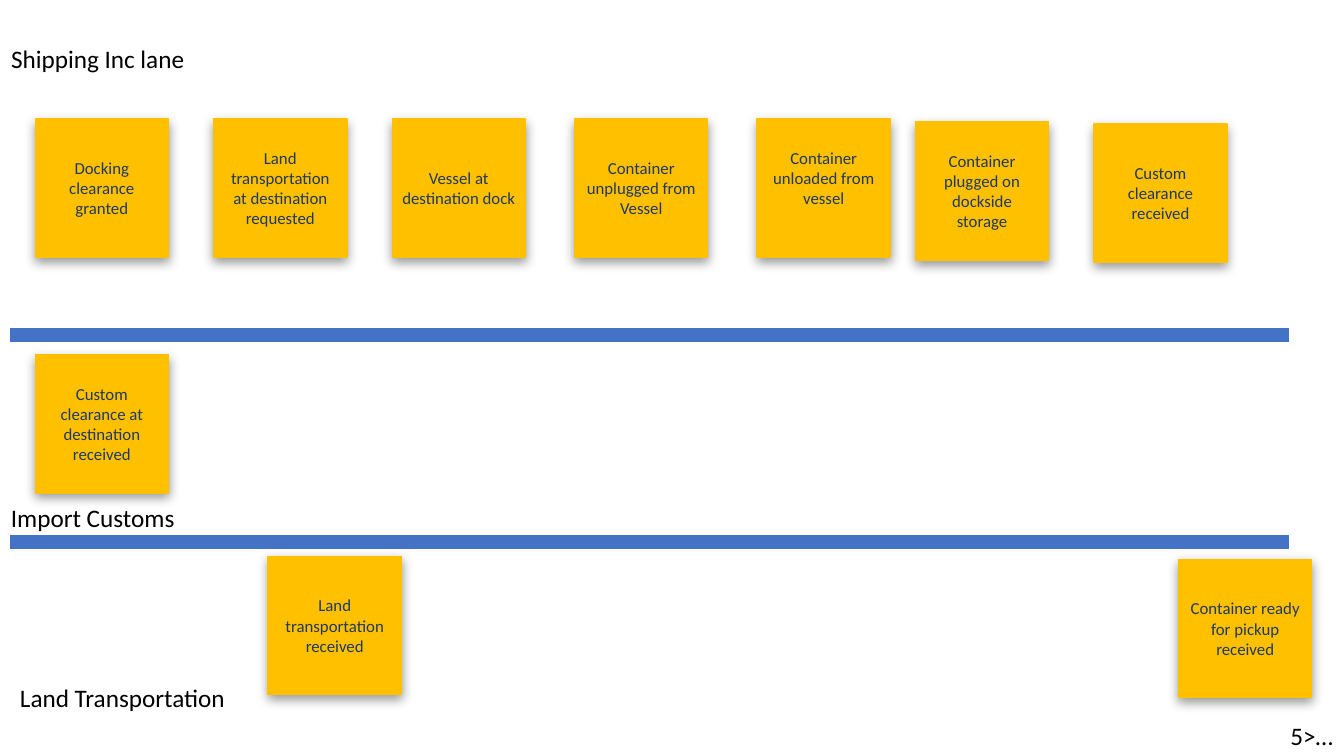
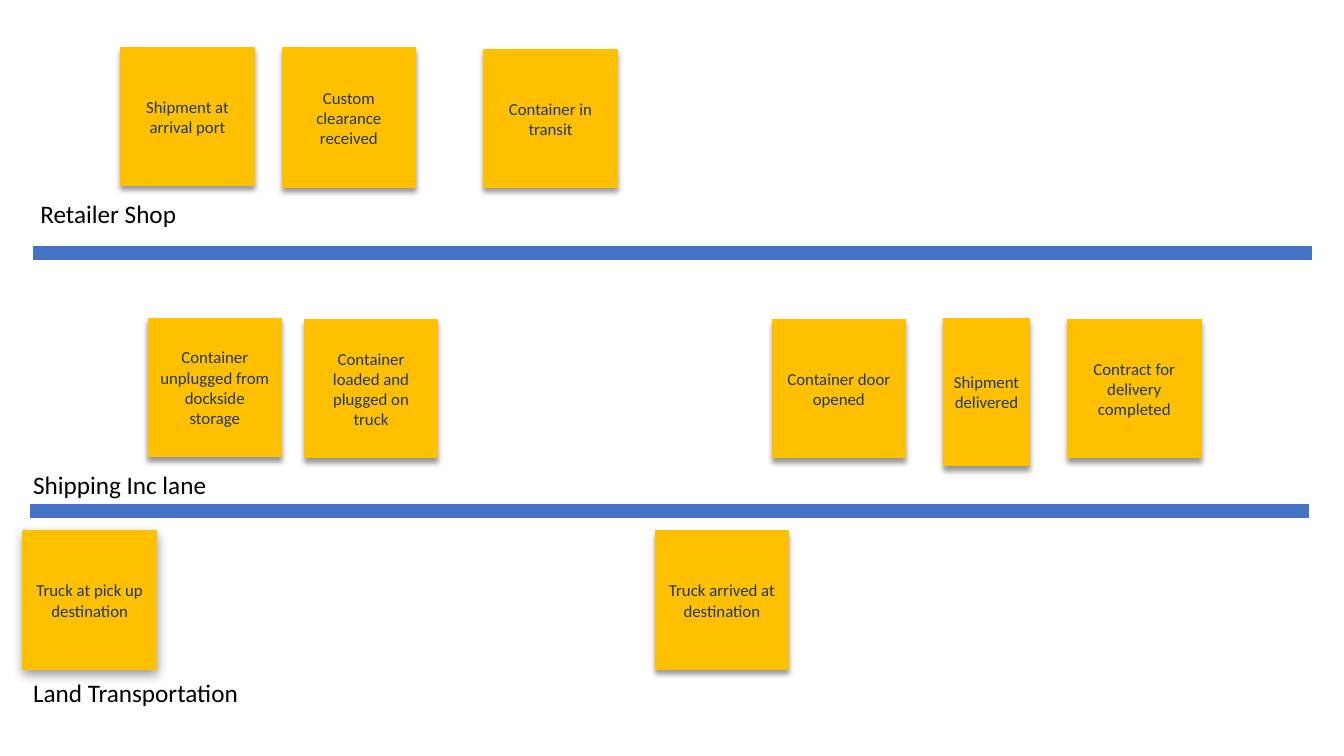
from lxml import etree
from pptx import Presentation
from pptx import util as u
from pptx.dml.color import RGBColor
from pptx.enum import shapes, text
from pptx.oxml.ns import qn

UNIT = 0.1
CARD_W, CARD_H = 13.2, 13.7
LANE_W = 126.8
LABEL_H = 4
BLACK, NAVY, AMBER, BLUE = "000000", "203864", "FFC000", "4472C4"


def rgb(value):
    return RGBColor.from_string(value)


def grid(*cells):
    return [u.Inches(cell * UNIT) for cell in cells]


def assign(target, values):
    for name, value in values.items():
        setattr(target, name, value)


def effects(shape):
    return etree.SubElement(shape._element.spPr, qn("a:effectLst"))


class Board:
    label_frame = {"word_wrap": False, "vertical_anchor": text.MSO_ANCHOR.TOP,
                   "auto_size": text.MSO_AUTO_SIZE.SHAPE_TO_FIT_TEXT}
    card_frame = {"word_wrap": True, "vertical_anchor": text.MSO_ANCHOR.MIDDLE}
    label_font = {"name": "Calibri", "size": u.Pt(18), "bold": False}
    card_font = {"name": "Calibri", "size": u.Pt(12)}

    def __init__(self):
        self.prs = Presentation()
        assign(self.prs, {"slide_width": u.Inches(13.33), "slide_height": u.Inches(7.5)})
        self.s = None

    def slide(self):
        self.s = self.prs.slides.add_slide(self.prs.slide_layouts[5])

    def fill_text(self, sp, words, frame, font, color, align):
        tf = sp.text_frame
        assign(tf, frame)
        p = tf.paragraphs[0]
        p.alignment = align
        r = p.add_run()
        r.text = words
        assign(r.font, font)
        r.font.color.rgb = rgb(color)

    def caption(self, sp, words):
        self.fill_text(sp, words, self.label_frame, self.label_font, BLACK, text.PP_ALIGN.LEFT)

    def title(self, col, row, width, words):
        sp = self.s.shapes.title
        left, top, wide, high = grid(col, row, width, LABEL_H)
        assign(sp, {"left": left, "top": top, "width": wide, "height": high})
        self.caption(sp, words)

    def label(self, col, row, width, words):
        self.caption(self.s.shapes.add_textbox(*grid(col, row, width, LABEL_H)), words)

    def divider(self, col, row):
        line = self.s.shapes.add_connector(
            shapes.MSO_CONNECTOR.STRAIGHT, *grid(col, row, col + LANE_W, row))
        line.line.color.rgb = rgb(BLUE)
        line.line.width = u.Pt(10)
        effects(line)

    def card(self, col, row, words, width=CARD_W, height=CARD_H, blur=8, lift=0.5):
        sp = self.s.shapes.add_shape(
            shapes.MSO_SHAPE.RECTANGLE, *grid(col, row, width, height))
        sp.fill.solid()
        sp.fill.fore_color.rgb = rgb(AMBER)
        sp.line.color.rgb = rgb(AMBER)
        sp.line.width = u.Pt(1)
        self.shadow(sp, blur)
        frame = {**self.card_frame, "margin_bottom": grid(lift)[0]}
        self.fill_text(sp, words, frame, self.card_font, NAVY, text.PP_ALIGN.CENTER)

    def shadow(self, sp, blur):
        outer = etree.SubElement(effects(sp), qn("a:outerShdw"), {
            "blurRad": str(u.Pt(blur)), "dist": str(u.Pt(3)), "dir": "5400000",
            "algn": "t", "rotWithShape": "0"})
        color = etree.SubElement(outer, qn("a:srgbClr"), val=BLACK)
        etree.SubElement(color, qn("a:alpha"), val="40000")

    def cards(self, items, **style):
        for col, row, words in items:
            self.card(col, row, words, **style)


def arrival(board):
    board.slide()
    board.title(0.1, 3.8, 19.4, "Shipping Inc lane")
    board.label(0.1, 49.3, 18.4, "Import Customs")
    board.label(1, 67.2, 22.6, "Land Transportation")
    board.label(127, 71, 6.3, "5>…")
    for row in (33.2, 53.8):
        board.divider(1, row)
    board.cards([
        (3.5, 11.8, "Docking clearance granted"),
        (21.2, 11.8, "Land transportation at destination requested"),
        (38.9, 11.8, "Vessel at destination dock"),
        (57, 11.8, "Container unplugged from Vessel"),
        (90.8, 12.1, "Container plugged on dockside storage"),
        (108.5, 12.3, "Custom clearance received"),
        (3.5, 35.2, "Custom clearance at destination received"),
        (26.6, 55.2, "Land transportation received"),
        (116.9, 55.5, "Container ready for pickup received"),
    ])
    board.card(75.1, 11.8, "Container unloaded from vessel", lift=2.5)


def delivery(board):
    board.slide()
    board.title(3, 19.2, 15.6, "Retailer Shop")
    board.label(2.3, 46.1, 19.4, "Shipping Inc lane")
    board.label(2.3, 66.7, 22.6, "Land Transportation")
    board.divider(3.3, 25.1)
    board.divider(3, 50.7)
    board.cards([
        (12, 4.7, "Shipment at arrival port"),
        (48, 4.9, "Container in transit"),
        (14.7, 31.6, "Container unplugged from dockside storage"),
        (30.2, 31.7, "Container loaded and plugged on truck"),
        (76.6, 31.7, "Container door opened"),
        (105.9, 31.7, "Contract for delivery completed"),
        (65, 52.7, "Truck arrived at destination"),
    ], blur=4)
    board.card(28, 4.7, "Custom clearance received", height=13.9, blur=4)
    board.card(93.6, 31.6, "Shipment delivered", width=8.5, height=14.6, blur=4)
    board.card(2.3, 52.7, "Truck at pick up destination")


def main():
    board = Board()
    arrival(board)
    delivery(board)
    board.prs.save("out.pptx")


if __name__ == "__main__":
    main()
